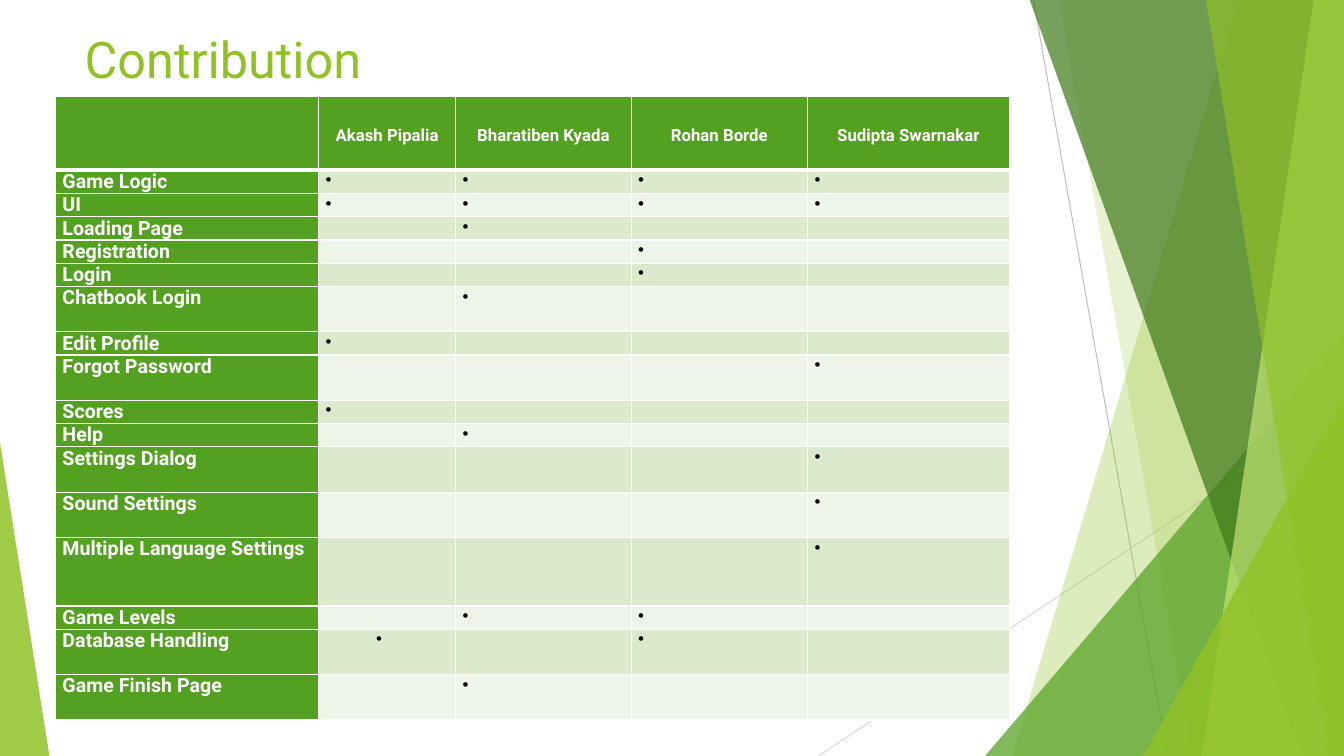
import pptx
import pptx.dml.color
import pptx.enum.shapes
import pptx.enum.text
import pptx.oxml
import pptx.oxml.ns
import pptx.util
from lxml import etree

Inches = pptx.util.Inches
Pt = pptx.util.Pt
RGBColor = pptx.dml.color.RGBColor
qn = pptx.oxml.ns.qn

LIME = RGBColor(0x90, 0xC2, 0x26)
GREEN = RGBColor(0x54, 0xA0, 0x21)
FOREST = RGBColor(0x3F, 0x78, 0x19)
PALE_LIME = RGBColor(0xC0, 0xE4, 0x74)
BAND_DARK = RGBColor(0xDB, 0xE9, 0xCD)
BAND_LIGHT = RGBColor(0xEE, 0xF4, 0xE8)
GREY = RGBColor(0xBF, 0xBF, 0xBF)
LIGHT_GREY = RGBColor(0xD9, 0xD9, 0xD9)
WHITE = RGBColor(0xFF, 0xFF, 0xFF)
BLACK = RGBColor(0, 0, 0)
W, H = 13.33, 7.5
FONT = "Roboto"


def add_run(p, text, size, color, bold=False):
    r = p.add_run()
    r.text = text
    r.font.name = FONT
    r.font.size = Pt(size)
    r.font.bold = bold
    r.font.color.rgb = color


def paint(sp, color, alpha):
    sp.shadow.inherit = False
    sp.line.fill.background()
    sp.fill.solid()
    sp.fill.fore_color.rgb = color
    clr = sp.fill._xPr.find(".//" + qn("a:srgbClr"))
    etree.SubElement(clr, qn("a:alpha")).set("val", str(alpha * 1000))


prs = pptx.Presentation()
prs.slide_width = Inches(W)
prs.slide_height = Inches(H)
s = prs.slides.add_slide(prs.slide_layouts[5])

for x1, y1, x2, y2, color in [
    (10.25, 0, 11.58, H, GREY),
    (W, 4.03, 8.12, H, LIGHT_GREY),
]:
    cxn = s.shapes.add_connector(
        pptx.enum.shapes.MSO_CONNECTOR.STRAIGHT,
        Inches(x1), Inches(y1), Inches(x2), Inches(y2))
    cxn.line.color.rgb = color
    cxn.line.width = Pt(0.75)
    etree.SubElement(cxn._element.spPr, qn("a:effectLst"))

facets = [
    ("band", 12.28, 10.04, LIME, 30),
    ("band", 10.5, 11.83, LIME, 20),
    ("triangle", 9.77, 3.56, 4.17, 1, GREEN, 72),
    ("band", 10.21, 12.91, FOREST, 70),
    ("band", 13.03, 11.92, PALE_LIME, 70),
    ("band", 11.96, 13.18, LIME, 65),
    ("triangle", 11.34, 1.99, 3.57, 1, LIME, 80),
    ("triangle", 0, 0.49, 3.11, 0, LIME, 85),
]
for kind, *geometry, color, alpha in facets:
    if kind == "band":
        top, bottom = geometry
        fb = s.shapes.build_freeform(Inches(top), Inches(-0.01))
        fb.add_line_segments([(Inches(W), Inches(-0.01)), (Inches(W), Inches(H)),
                              (Inches(bottom), Inches(H))])
        sp = fb.convert_to_shape()
    else:
        left, width, height, apex = geometry
        sp = s.shapes.add_shape(
            pptx.enum.shapes.MSO_SHAPE.ISOSCELES_TRIANGLE,
            Inches(left), Inches(H - height), Inches(width), Inches(height))
        sp.adjustments[0] = apex
    paint(sp, color, alpha)

title = s.shapes.title
title.left, title.top = Inches(0.74), Inches(0.2)
title.width, title.height = Inches(9.4), Inches(0.75)
tf = title.text_frame
tf.word_wrap = True
tf.vertical_anchor = pptx.enum.text.MSO_ANCHOR.MIDDLE
p = tf.paragraphs[0]
p.alignment = pptx.enum.text.PP_ALIGN.LEFT
add_run(p, "Contribution", 36, LIME)

members = ["Akash Pipalia", "Bharatiben Kyada", "Rohan Borde", "Sudipta Swarnakar"]
tasks = [
    ("Game Logic", 1, {1, 2, 3, 4}),
    ("UI", 1, {1, 2, 3, 4}),
    ("Loading Page", 1, {2}),
    ("Registration", 1, {3}),
    ("Login", 1, {3}),
    ("Chatbook Login", 2, {2}),
    ("Edit Profile", 1, {1}),
    ("Forgot Password", 2, {4}),
    ("Scores", 1, {1}),
    ("Help", 1, {2}),
    ("Settings Dialog", 2, {4}),
    ("Sound Settings", 2, {4}),
    ("Multiple Language Settings", 3, {4}),
    ("Game Levels", 1, {2, 3}),
    ("Database Handling", 2, {1, 3}),
    ("Game Finish Page", 2, {2}),
]
row_heights = [0.73] + [{1: 0.23, 2: 0.45, 3: 0.68}[lines] for _, lines, _ in tasks]
col_widths = [2.61, 1.36, 1.74, 1.75, 2]
tbl = s.shapes.add_table(
    len(row_heights), len(col_widths), Inches(0.55), Inches(0.96),
    Inches(sum(col_widths)), Inches(sum(row_heights))).table
for column, width in zip(tbl.columns, col_widths):
    column.width = Inches(width)
for row, height in zip(tbl.rows, row_heights):
    row.height = Inches(height)

for i, row in enumerate(tbl.rows):
    for j, cell in enumerate(row.cells):
        cell.margin_left = cell.margin_right = Inches(0.07)
        cell.margin_top = cell.margin_bottom = 0
        p = cell.text_frame.paragraphs[0]
        fill = GREEN if i == 0 or j == 0 else (BAND_DARK if i % 2 else BAND_LIGHT)
        if i == 0 and j > 0:
            p.alignment = pptx.enum.text.PP_ALIGN.CENTER
            p.line_spacing = 2.5
            add_run(p, members[j - 1], 12, WHITE, True)
        elif i > 0 and j == 0:
            add_run(p, tasks[i - 1][0], 14, WHITE, True)
        elif i > 0 and j in tasks[i - 1][2]:
            indent = 0.5 if tasks[i - 1][0] == "Database Handling" and j == 1 else 0
            pPr = p._p.get_or_add_pPr()
            pPr.set("marL", str(Inches(indent)))
            pPr.set("indent", "0")
            etree.SubElement(pPr, qn("a:buFont")).set("typeface", "Arial")
            etree.SubElement(pPr, qn("a:buChar")).set("char", "•")
            add_run(p, " ", 12, BLACK)
        else:
            etree.SubElement(p._p, qn("a:endParaRPr")).set("sz", "1200")
        tcPr = cell._tc.get_or_add_tcPr()
        for side in ["L", "R", "T", "B"]:
            thick = (i, side) in [(0, "B"), (1, "T")]
            ln = etree.SubElement(tcPr, qn("a:ln" + side), w=str(Pt(3 if thick else 1)))
            line_fill = etree.SubElement(ln, qn("a:solidFill"))
            etree.SubElement(line_fill, qn("a:srgbClr"), val=str(WHITE))
        cell.fill.solid()
        cell.fill.fore_color.rgb = fill

prs.save("out.pptx")
